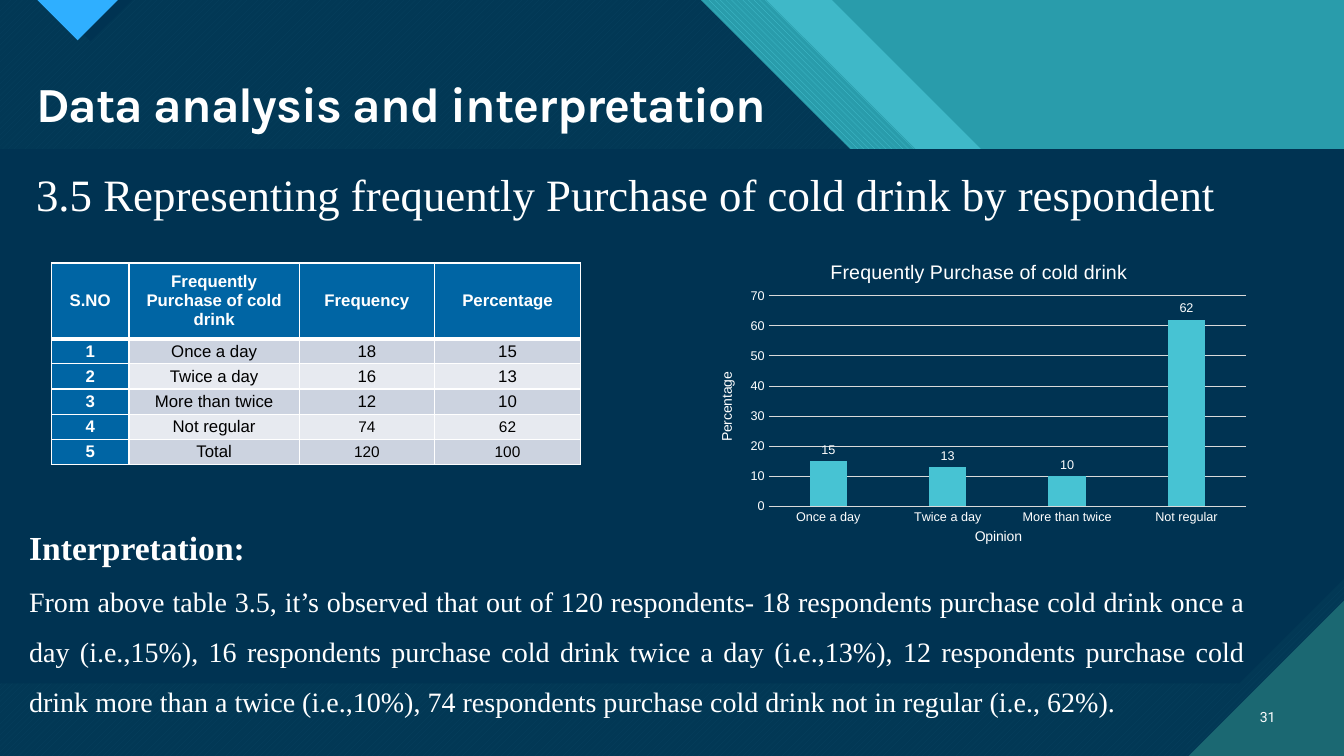
import pptx
import pptx.chart.data
import pptx.dml.color
import pptx.enum.chart
import pptx.enum.dml
import pptx.enum.text
import pptx.oxml
import pptx.oxml.ns
import pptx.util
from pptx.util import Inches

RGBColor = pptx.dml.color.RGBColor
Align = pptx.enum.text.PP_ALIGN
Anchor = pptx.enum.text.MSO_ANCHOR
Pattern = pptx.enum.dml.MSO_PATTERN

WHITE = RGBColor(0xFF, 0xFF, 0xFF)
BLACK = RGBColor(0x00, 0x00, 0x00)
NAVY = RGBColor(0x00, 0x33, 0x52)
TEAL = RGBColor(0x29, 0x9C, 0xAB)
AQUA = RGBColor(0x47, 0xC3, 0xD3)
DARK_TEAL = RGBColor(0x1B, 0x68, 0x72)
BRIGHT_BLUE = RGBColor(0x2F, 0xAF, 0xFF)
HEADER_BLUE = RGBColor(0x00, 0x65, 0xA4)
BANDS = (RGBColor(0xCC, 0xD3, 0xE0), RGBColor(0xE7, 0xEA, 0xF0))
GRID = RGBColor(0xD9, 0xD9, 0xD9)

SERIF = "Times New Roman"
SANS = "Arial"
WIDTH, HEIGHT = 13.33, 7.5

TABLE = (
    ("S.NO", "Frequently Purchase of cold drink", "Frequency", "Percentage"),
    ("1", "Once a day", "18", "15"),
    ("2", "Twice a day", "16", "13"),
    ("3", "More than twice", "12", "10"),
    ("4", "Not regular", "74", "62"),
    ("5", "Total", "120", "100"),
)
INTERPRETATION = (
    "From above table 3.5, it’s observed that out of 120 respondents- 18 respondents "
    "purchase cold drink once a day (i.e.,15%), 16 respondents purchase cold drink twice "
    "a day (i.e.,13%), 12 respondents purchase cold drink more than a twice (i.e.,10%), "
    "74 respondents purchase cold drink not in regular (i.e., 62%)."
)


def set_font(font, size, color=WHITE, name=SANS, bold=False):
    font.size, font.name, font.bold = pptx.util.Pt(size), name, bold
    font.color.rgb = color


def write(para, text, size, align=Align.LEFT, line=None, tracking=None, **font):
    para.alignment = align
    if line:
        para.line_spacing = line
    span = para.add_run()
    span.text = text
    set_font(span.font, size, **font)
    if tracking:
        span.font._element.set("spc", str(tracking))


def add_box(page, left, top, width, height, anchor=Anchor.TOP):
    box = page.shapes.add_textbox(Inches(left), Inches(top), Inches(width), Inches(height))
    frame = box.text_frame
    frame.word_wrap = True
    frame.vertical_anchor = anchor
    return frame


def add_polygon(page, points, color, back=None, pattern=None, opacity=None):
    corners = [(Inches(x), Inches(y)) for x, y in points]
    builder = page.shapes.build_freeform(*corners[0], scale=1.0)
    builder.add_line_segments(corners[1:], close=True)
    shape = builder.convert_to_shape()
    shape.shadow.inherit = False
    shape.line.fill.background()
    if pattern:
        shape.fill.patterned()
        shape.fill.pattern = pattern
        shape.fill.fore_color.rgb = color
        shape.fill.back_color.rgb = back
    else:
        shape.fill.solid()
        shape.fill.fore_color.rgb = color
    if opacity:
        tint = shape.fill._xPr.find(".//" + pptx.oxml.ns.qn("a:srgbClr"))
        pptx.oxml.ns  # alpha is a child of the colour element
        tint.append(pptx.oxml.parse_xml(
            f'<a:alpha {pptx.oxml.ns.nsdecls("a")} val="{opacity * 1000}"/>'))


def slanted(edge):
    """Area left of a 45 degree edge that starts at the top of the page."""
    return ((0, 0), (edge, 0), (edge + 2.97, 2.97), (WIDTH, 2.97), (WIDTH, HEIGHT), (0, HEIGHT))


def add_background(page):
    page.background.fill.solid()
    page.background.fill.fore_color.rgb = TEAL
    # Diagonal bands, widest first
    add_polygon(page, slanted(8.25), AQUA, opacity=74)
    add_polygon(page, slanted(7.6), AQUA, TEAL, Pattern.WIDE_DOWNWARD_DIAGONAL)
    add_polygon(page, slanted(6.95), AQUA, DARK_TEAL, Pattern.WIDE_UPWARD_DIAGONAL)
    add_polygon(page, slanted(6.95), NAVY, opacity=90)
    # Corner marker and its shade
    add_polygon(page, ((0.48, 0), (1.31, 0), (0.9, 0.41)), NAVY)
    add_polygon(page, ((0.37, 0), (1.17, 0), (0.77, 0.4)), BRIGHT_BLUE)
    # Content panel with a cut corner, and the page-number corner
    add_polygon(page, ((0, 1.48), (WIDTH, 1.48), (WIDTH, 5.74), (12.29, 6.78), (0, 6.78)), NAVY)
    add_polygon(page, ((11.79, HEIGHT), (WIDTH, HEIGHT), (WIDTH, 5.96)), DARK_TEAL)


def set_borders(cell, bottom):
    properties = cell._tc.get_or_add_tcPr()
    for position, side in enumerate(("lnL", "lnR", "lnT", "lnB")):
        points = bottom if side == "lnB" else 1
        properties.insert(position, pptx.oxml.parse_xml(
            f'<a:{side} {pptx.oxml.ns.nsdecls("a")} w="{pptx.util.Pt(points)}">'
            f'<a:solidFill><a:srgbClr val="{WHITE}"/></a:solidFill></a:{side}>'))


def add_frequency_table(page):
    widths = (0.77, 1.69, 1.34, 1.45)
    heights = (0.75,) + (0.25,) * 5
    table = page.shapes.add_table(
        len(heights), len(widths), Inches(0.51), Inches(2.61),
        Inches(sum(widths)), Inches(sum(heights))).table
    for column, width in zip(table.columns, widths):
        column.width = Inches(width)
    for r, (row, height) in enumerate(zip(table.rows, heights)):
        row.height = Inches(height)
        for c, cell in enumerate(row.cells):
            heading = r == 0 or c == 0
            cell.fill.solid()
            cell.fill.fore_color.rgb = HEADER_BLUE if heading else BANDS[(r - 1) % 2]
            cell.vertical_anchor = Anchor.MIDDLE
            cell.margin_left = cell.margin_right = Inches(0.07)
            cell.margin_top = cell.margin_bottom = 0
            write(cell.text_frame.paragraphs[0], TABLE[r][c], 11 if r >= 4 and c >= 2 else 12,
                  align=Align.CENTER, color=WHITE if heading else BLACK, bold=heading)
            set_borders(cell, bottom=3 if r == 0 else 1)


def format_axis(axis, title):
    axis.major_tick_mark = axis.minor_tick_mark = pptx.enum.chart.XL_TICK_MARK.NONE
    set_font(axis.tick_labels.font, 9)
    write(axis.axis_title.text_frame.paragraphs[0], title, 10, align=Align.CENTER)


def format_line(line):
    line.color.rgb = GRID
    line.width = pptx.util.Pt(0.75)


def add_percentage_chart(page):
    data = pptx.chart.data.CategoryChartData()
    data.categories = [row[1] for row in TABLE[1:5]]
    data.add_series("Series 1", [int(row[3]) for row in TABLE[1:5]])
    chart = page.shapes.add_chart(
        pptx.enum.chart.XL_CHART_TYPE.COLUMN_CLUSTERED,
        Inches(6.89), Inches(2.42), Inches(5.64), Inches(3.03), data).chart
    set_font(chart.font, 10)
    chart.has_legend = False
    write(chart.chart_title.text_frame.paragraphs[0], "Frequently Purchase of cold drink", 14,
          align=Align.CENTER)
    # Axes
    format_axis(chart.category_axis, "Opinion")
    format_axis(chart.value_axis, "Percentage")
    format_line(chart.category_axis.format.line)
    format_line(chart.value_axis.major_gridlines.format.line)
    chart.value_axis.format.line.fill.background()
    chart.value_axis.minimum_scale, chart.value_axis.maximum_scale = 0, 70
    chart.value_axis.major_unit = 10
    # Columns and their labels
    plot = chart.plots[0]
    plot.gap_width, plot.overlap, plot.vary_by_categories = 219, -27, False
    plot.series[0].format.fill.solid()
    plot.series[0].format.fill.fore_color.rgb = AQUA
    labels = plot.series[0].data_labels
    labels.show_value = True
    labels.position = pptx.enum.chart.XL_LABEL_POSITION.OUTSIDE_END
    set_font(labels.font, 9)
    # Fixed plot area
    area = chart._chartSpace.chart.plotArea
    for old in area.findall(pptx.oxml.ns.qn("c:layout")):
        area.remove(old)
    places = "".join(f'<c:{key} val="{value}"/>' for key, value in (
        ("layoutTarget", "inner"), ("xMode", "edge"), ("yMode", "edge"),
        ("x", 0.13), ("y", 0.17), ("w", 0.84), ("h", 0.69)))
    area.insert(0, pptx.oxml.parse_xml(
        f'<c:layout {pptx.oxml.ns.nsdecls("c")}><c:manualLayout>{places}'
        '</c:manualLayout></c:layout>'))


def add_texts(page):
    title = add_box(page, 0.26, 0.75, 7.56, 0.63)
    write(title.paragraphs[0], "Data analysis and interpretation", 35, name="Karla",
          bold=True, line=0.9, tracking=-70)
    number = add_box(page, 12.31, 6.91, 0.44, 0.4, anchor=Anchor.MIDDLE)
    write(number.paragraphs[0], "31", 10, name="Roboto", align=Align.RIGHT)
    subtitle = add_box(page, 0.26, 1.6, 12.04, 0.64)
    write(subtitle.paragraphs[0],
          "3.5 Representing frequently Purchase of cold drink by respondent", 32,
          name=SERIF, align=Align.JUSTIFY)
    body = add_box(page, 0.19, 4.98, 12.26, 2.17)
    write(body.paragraphs[0], "Interpretation:", 24, name=SERIF, bold=True,
          align=Align.JUSTIFY, line=1.5)
    write(body.add_paragraph(), INTERPRETATION, 20, name=SERIF, align=Align.JUSTIFY, line=1.5)


def main():
    deck = pptx.Presentation()
    deck.slide_width, deck.slide_height = Inches(WIDTH), Inches(HEIGHT)
    page = deck.slides.add_slide(deck.slide_layouts[6])
    add_background(page)
    add_texts(page)
    add_frequency_table(page)
    add_percentage_chart(page)
    deck.save("out.pptx")


if __name__ == "__main__":
    main()
